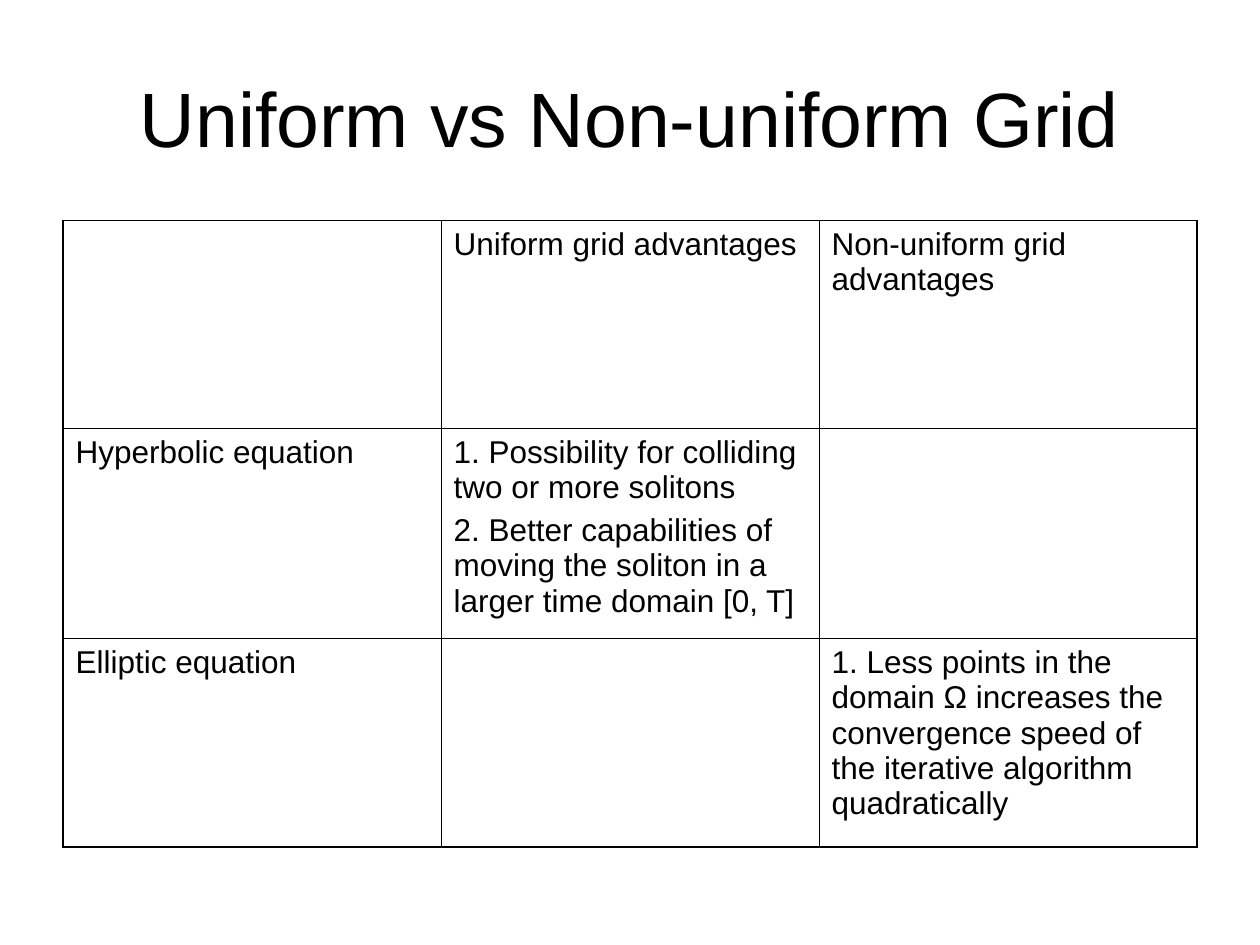
from dataclasses import dataclass

from lxml import etree
from pptx import Presentation
from pptx.dml.color import RGBColor
from pptx.enum.text import MSO_ANCHOR, PP_ALIGN
from pptx.oxml.ns import qn
from pptx.util import Inches, Pt

CENTER, LEFT = PP_ALIGN.CENTER, PP_ALIGN.LEFT
MIDDLE, TOP = MSO_ANCHOR.MIDDLE, MSO_ANCHOR.TOP
TITLE_ONLY = 5

ROWS = [
    ["", "Uniform grid advantages", "Non-uniform grid advantages"],
    [
        "Hyperbolic equation",
        "1. Possibility for colliding two or more solitons\n"
        "2. Better capabilities of moving the soliton in a larger time domain [0, T]",
        "",
    ],
    [
        "Elliptic equation",
        "",
        "1. Less points in the domain Ω increases the convergence speed "
        "of the iterative algorithm quadratically",
    ],
]


@dataclass
class Theme:
    """Colours, font, type sizes and line widths."""

    ink: str = "000000"
    paper: str = "FFFFFF"
    font: str = "Arial"
    title_size: float = 44
    body_size: float = 18
    paragraph_gap: float = 4.5
    outer_line: float = 1.08
    inner_line: float = 0.45


class SlideBuilder:
    """Draws styled elements on the current slide."""

    def __init__(self, slide, theme):
        self.slide = slide
        self.theme = theme
        fill = slide.background.fill
        fill.solid()
        fill.fore_color.rgb = RGBColor.from_string(theme.paper)

    def style_text(self, frame, size, alignment):
        for index, para in enumerate(frame.paragraphs):
            para.alignment = alignment
            para.space_before = Pt(self.theme.paragraph_gap if index else 0)
            para.font.size = Pt(size)
            for span in para.runs:
                span.font.name = self.theme.font
                span.font.size = Pt(size)
                span.font.bold = False
                span.font.color.rgb = RGBColor.from_string(self.theme.ink)

    def title(self, text, left, top, width, height):
        box = self.slide.shapes.title
        box.left, box.top = Inches(left), Inches(top)
        box.width, box.height = Inches(width), Inches(height)
        frame = box.text_frame
        frame.text = text
        frame.vertical_anchor = MIDDLE
        self.style_text(frame, self.theme.title_size, CENTER)

    def border(self, cell, side, is_outer):
        width = self.theme.outer_line if is_outer else self.theme.inner_line
        properties = cell._tc.get_or_add_tcPr()
        line = etree.SubElement(properties, qn(f"a:ln{side}"), w=str(Pt(width)))
        fill = etree.SubElement(line, qn("a:solidFill"))
        etree.SubElement(fill, qn("a:srgbClr"), val=self.theme.ink)

    def table(self, rows, left, top, column_width, row_heights):
        row_count, column_count = len(rows), len(rows[0])
        table = self.slide.shapes.add_table(
            row_count, column_count, Inches(left), Inches(top),
            Inches(column_width * column_count), Inches(sum(row_heights)),
        ).table
        table.first_row = table.horz_banding = False
        for column in table.columns:
            column.width = Inches(column_width)
        for row_index, texts in enumerate(rows):
            table.rows[row_index].height = Inches(row_heights[row_index])
            for column_index, text in enumerate(texts):
                cell = table.cell(row_index, column_index)
                cell.text_frame.text = text
                cell.vertical_anchor = TOP
                self.style_text(cell.text_frame, self.theme.body_size, LEFT)
                self.border(cell, "L", column_index == 0)
                self.border(cell, "R", column_index == column_count - 1)
                self.border(cell, "T", row_index == 0)
                self.border(cell, "B", row_index == row_count - 1)
                cell.fill.background()


def main():
    deck = Presentation()
    deck.slide_width, deck.slide_height = Inches(10), Inches(7.5)
    page = deck.slides.add_slide(deck.slide_layouts[TITLE_ONLY])
    builder = SlideBuilder(page, Theme())
    builder.title("Uniform vs Non-uniform Grid", 0.5, 0.3, 9, 1.25)
    builder.table(ROWS, 0.5, 1.75, 3, [1.65, 1.67, 1.65])
    deck.save("out.pptx")


if __name__ == "__main__":
    main()
